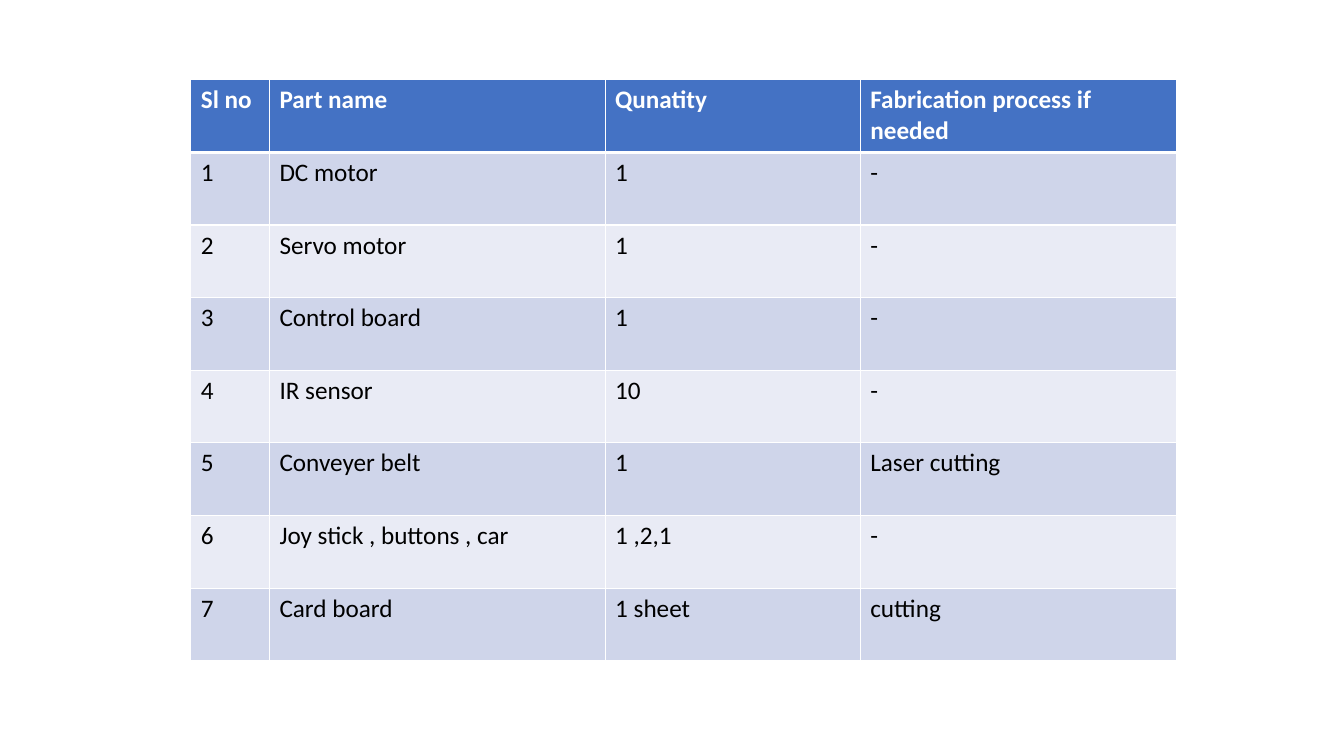
from lxml import etree
from pptx import Presentation
from pptx import util as u
from pptx.dml.color import RGBColor
from pptx.oxml import ns

WHITE = RGBColor(0xFF, 0xFF, 0xFF)
BLACK = RGBColor(0x00, 0x00, 0x00)
HEADER_BLUE = RGBColor(0x44, 0x72, 0xC4)
BANDS = (RGBColor(0xCF, 0xD5, 0xEA), RGBColor(0xE9, 0xEB, 0xF5))

HEADINGS = ("Sl no", "Part name", "Qunatity", "Fabrication process if needed")
PARTS = (
    ("DC motor", "1", "-"),
    ("Servo motor", "1", "-"),
    ("Control board", "1", "-"),
    ("IR sensor", "10", "-"),
    ("Conveyer belt", "1", "Laser cutting"),
    ("Joy stick , buttons , car", "1 ,2,1", "-"),
    ("Card board", "1 sheet", "cutting"),
)
COLUMN_WIDTHS = (1.98, 8.46, 6.43, 7.98)
ROW_HEIGHT = 1.83


class PartsSlide:
    font_name = "Calibri"
    font_size = u.Pt(18)
    rule = u.Pt(1)
    header_rule = u.Pt(3)

    def __init__(self, slide):
        self.slide = slide

    def table(self, left, top, widths, row_height, rows):
        frame = self.slide.shapes.add_table(
            len(rows), len(widths), u.Cm(left), u.Cm(top),
            u.Cm(sum(widths)), u.Cm(row_height * len(rows)))
        grid = frame.table
        for column, width in zip(grid.columns, widths):
            column.width = u.Cm(width)
        for r, entries in enumerate(rows):
            grid.rows[r].height = u.Cm(row_height)
            for c, entry in enumerate(entries):
                self.cell(grid.cell(r, c), entry, r)

    def cell(self, cell, entry, row):
        header = row == 0
        self.borders(cell, top=self.header_rule if row == 1 else self.rule,
                     bottom=self.header_rule if header else self.rule)
        cell.fill.solid()
        cell.fill.fore_color.rgb = HEADER_BLUE if header else BANDS[(row - 1) % 2]
        cell.text = entry
        font = cell.text_frame.paragraphs[0].font
        font.name, font.size, font.bold = self.font_name, self.font_size, header
        font.color.rgb = WHITE if header else BLACK

    def borders(self, cell, top, bottom):
        # Cell lines must come before the fill in the cell properties
        properties = cell._tc.get_or_add_tcPr()
        sides = {"lnL": self.rule, "lnR": self.rule, "lnT": top, "lnB": bottom}
        for side, width in sides.items():
            line = etree.SubElement(properties, ns.qn(f"a:{side}"), w=str(width))
            fill = etree.SubElement(line, ns.qn("a:solidFill"))
            etree.SubElement(fill, ns.qn("a:srgbClr"), val=str(WHITE))


def main():
    deck = Presentation()
    deck.slide_width, deck.slide_height = u.Cm(33.87), u.Cm(19.05)
    parts_slide = PartsSlide(deck.slides.add_slide(deck.slide_layouts[6]))

    # Parts list, numbered from 1
    numbered = [(str(n), *part) for n, part in enumerate(PARTS, 1)]
    parts_slide.table(4.81, 2.01, COLUMN_WIDTHS, ROW_HEIGHT, [HEADINGS, *numbered])

    deck.save("out.pptx")


if __name__ == "__main__":
    main()
